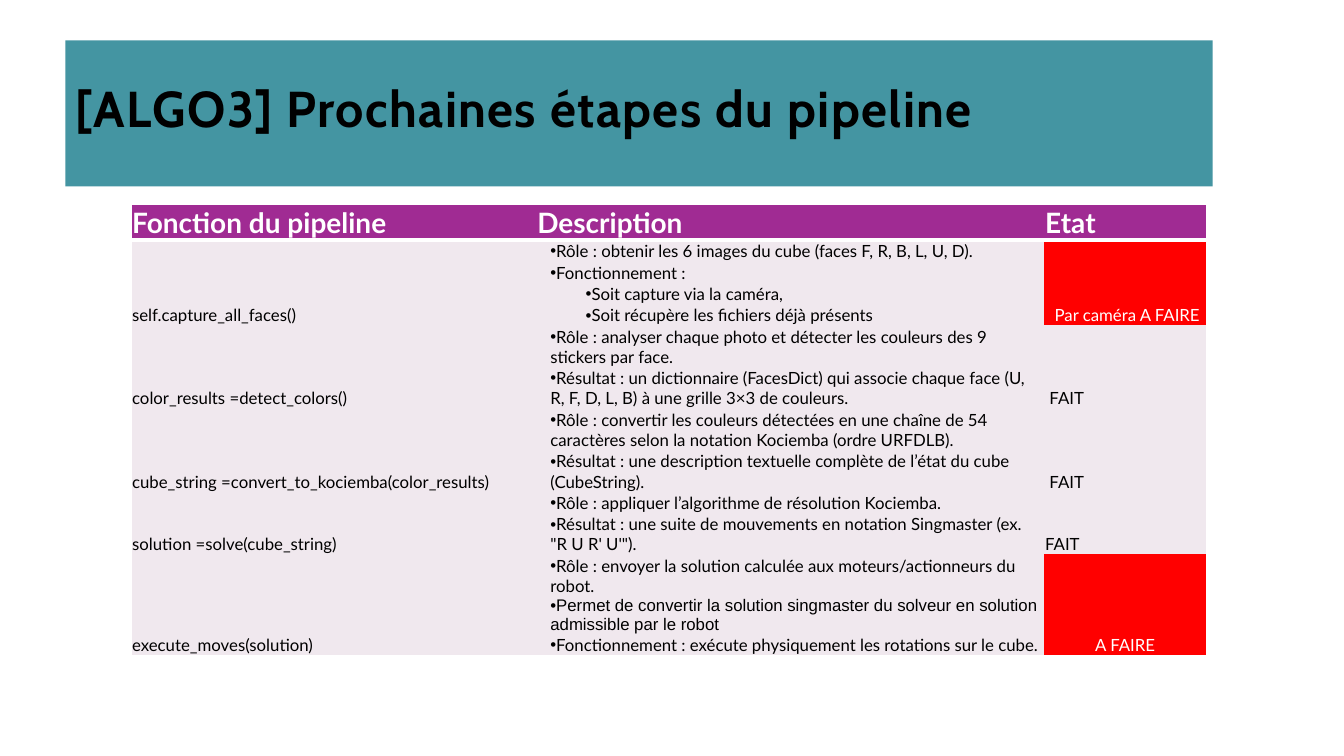
"""Build the slide on the next steps of the cube-solving pipeline."""
import dataclasses

import lxml.etree
import pptx
import pptx.dml.color
import pptx.enum.shapes
import pptx.enum.text
import pptx.oxml.ns
import pptx.util

Cm = pptx.util.Cm
ALIGN = pptx.enum.text.PP_ALIGN
ANCHOR = pptx.enum.text.MSO_ANCHOR

HEADINGS = ["Fonction du pipeline", "Description", "Etat"]
COLUMN_WIDTHS = [10.21, 12.8, 4.09]


@dataclasses.dataclass(frozen=True)
class Theme:
    """Colours, fonts and type sizes of the slide."""
    banner: str = "4495A2"
    header: str = "A02B93"
    body: str = "F0E8EE"
    alert: str = "FF0000"
    dark: str = "000000"
    light: str = "FFFFFF"
    title_font: str = "Cabin"
    table_font: str = "Lato"
    plain_font: str = "Arial"
    title_size: int = 36
    header_size: int = 20
    body_size: int = 12


@dataclasses.dataclass
class Detail:
    """One description row: its paragraphs, line count, indent and fonts."""
    texts: list
    lines: int = 1
    inset: float = 0.36
    fonts: tuple = (Theme.table_font,)


@dataclasses.dataclass
class Step:
    """One pipeline function with its state and description rows."""
    function: str
    state: str
    details: list
    to_do: bool = False


STEPS = [
    Step("self.capture_all_faces()", " Par caméra A FAIRE", [
        Detail(["Rôle : obtenir les 6 images du cube (faces F, R, B, L, U, D)."]),
        Detail(["Fonctionnement :"]),
        Detail(["Soit capture via la caméra,"], inset=1.25),
        Detail(["Soit récupère les fichiers déjà présents"], inset=1.25),
    ], to_do=True),
    Step("color_results =detect_colors()", " FAIT", [
        Detail(["Rôle : analyser chaque photo et détecter les couleurs des 9 "
                "stickers par face."], lines=2),
        Detail(["Résultat : un dictionnaire (FacesDict) qui associe chaque face "
                "(U, R, F, D, L, B) à une grille 3×3 de couleurs."], lines=2),
    ]),
    Step("cube_string =convert_to_kociemba(color_results)", " FAIT", [
        Detail(["Rôle : convertir les couleurs détectées en une chaîne de 54 "
                "caractères selon la notation Kociemba (ordre URFDLB)."], lines=2),
        Detail(["Résultat : une description textuelle complète de l’état du cube "
                "(CubeString)."], lines=2),
    ]),
    Step("solution =solve(cube_string)", "FAIT ", [
        Detail(["Rôle : appliquer l’algorithme de résolution Kociemba."]),
        Detail(["Résultat : une suite de mouvements en notation Singmaster "
                "(ex. \"R U R' U'\")."], lines=2),
    ]),
    Step("execute_moves(solution)", "A FAIRE", [
        Detail(["Rôle : envoyer la solution calculée aux moteurs/actionneurs du robot.",
                "Permet de convertir la solution singmaster du solveur en solution "
                "admissible par le robot"],
               lines=4, fonts=(Theme.table_font, Theme.plain_font)),
        Detail(["Fonctionnement : exécute physiquement les rotations sur le cube."]),
    ], to_do=True),
]


def rgb(code):
    """Return the colour for a hexadecimal code."""
    return pptx.dml.color.RGBColor.from_string(code)


def add_xml(parent, tag, **attributes):
    """Append a DrawingML child and return it."""
    return lxml.etree.SubElement(parent, pptx.oxml.ns.qn(tag), attributes)


def write_text(para, text, font, size, color, bold=False, align=ALIGN.LEFT,
               spacing=None, bullet=False):
    """Write one formatted span into a paragraph."""
    para.alignment = align
    span = para.add_run()
    span.text = text
    span.font.name = font
    span.font.size = pptx.util.Pt(size)
    span.font.bold = bold
    span.font.color.rgb = rgb(color)
    if spacing:
        span.font._element.set("spc", str(spacing * 100))
    if bullet:
        properties = para._p.get_or_add_pPr()
        properties.set("marL", "0")
        properties.set("indent", "0")
        add_xml(add_xml(properties, "a:buClr"), "a:srgbClr", val=color)
        add_xml(properties, "a:buFont", typeface=Theme.plain_font)
        add_xml(properties, "a:buChar", char="•")


class SlideBuilder:
    """Draw styled elements on the current page."""

    def __init__(self, page, theme):
        """Keep the page and its theme."""
        self.page = page
        self.theme = theme

    def title(self, text, left, top, width, height):
        """Add the coloured title banner."""
        box = self.page.shapes.add_shape(
            pptx.enum.shapes.MSO_SHAPE.RECTANGLE,
            Cm(left), Cm(top), Cm(width), Cm(height))
        box.shadow.inherit = False
        box.fill.solid()
        box.fill.fore_color.rgb = rgb(self.theme.banner)
        box.line.fill.background()
        box.text_frame.word_wrap = True
        box.text_frame.vertical_anchor = ANCHOR.MIDDLE
        para = box.text_frame.paragraphs[0]
        para.line_spacing = 0.8
        write_text(para, text, self.theme.title_font, self.theme.title_size,
                   self.theme.dark, bold=True, spacing=1)

    def cell(self, cell, fill, borders, inset=0.03, anchor=ANCHOR.BOTTOM):
        """Set the fill, margins and white borders of a table cell."""
        cell.margin_left = Cm(inset)
        cell.margin_right = cell.margin_top = Cm(0.03)
        cell.margin_bottom = 0
        cell.vertical_anchor = anchor
        properties = cell._tc.get_or_add_tcPr()
        for side in "LRTB":
            width = borders.get(side, 0)
            line = add_xml(properties, f"a:ln{side}", w=str(pptx.util.Pt(width)))
            if width:
                add_xml(add_xml(line, "a:solidFill"), "a:srgbClr", val=self.theme.light)
            else:
                add_xml(line, "a:noFill")
        cell.fill.solid()
        cell.fill.fore_color.rgb = rgb(fill)

    def table(self, headings, steps, widths, left, top, header_height, line_height):
        """Add the table of pipeline steps with merged function and state cells."""
        theme = self.theme
        records = [(step, detail) for step in steps for detail in step.details]
        heights = [header_height] + [line_height * detail.lines for _, detail in records]
        table = self.page.shapes.add_table(
            len(heights), len(widths), Cm(left), Cm(top),
            Cm(sum(widths)), Cm(sum(heights))).table
        for column, width in zip(table.columns, widths):
            column.width = Cm(width)
        for row, height in zip(table.rows, heights):
            row.height = Cm(height)

        last_row, last_column = len(heights) - 1, len(widths) - 1
        for row in range(len(heights)):
            step, detail = records[row - 1] if row else (None, None)
            for column in range(len(widths)):
                borders = {"L": int(column == 0), "R": int(column == last_column),
                           "T": {0: 1, 1: 3}.get(row, 0),
                           "B": {0: 3, last_row: 1}.get(row, 0)}
                cell = table.cell(row, column)
                if row == 0:
                    self.cell(cell, theme.header, borders)
                    write_text(cell.text_frame.paragraphs[0], headings[column],
                               theme.table_font, theme.header_size, theme.light, bold=True)
                elif column == 1:
                    self.cell(cell, theme.body, borders, detail.inset, ANCHOR.MIDDLE)
                    for index, (text, font) in enumerate(zip(detail.texts, detail.fonts)):
                        frame = cell.text_frame
                        para = frame.add_paragraph() if index else frame.paragraphs[0]
                        write_text(para, text, font, theme.body_size, theme.dark, bullet=True)
                else:
                    alert = step.to_do and column == last_column
                    self.cell(cell, theme.alert if alert else theme.body, borders)

        row = 1
        for step in steps:
            end = row + len(step.details) - 1
            for column, text in ((0, step.function), (last_column, step.state)):
                alert = step.to_do and column == last_column
                cell = table.cell(row, column)
                cell.merge(table.cell(end, column))
                write_text(cell.text_frame.paragraphs[0], text, theme.table_font,
                           theme.body_size, theme.light if alert else theme.dark,
                           align=ALIGN.CENTER if alert else ALIGN.LEFT)
            row = end + 1


def main():
    """Create the deck and save it."""
    deck = pptx.Presentation()
    deck.slide_width, deck.slide_height = Cm(33.87), Cm(19.05)
    builder = SlideBuilder(deck.slides.add_slide(deck.slide_layouts[6]), Theme())
    builder.title("[ALGO3] Prochaines étapes du pipeline", 1.65, 1.02, 28.91, 3.68)
    builder.table(HEADINGS, STEPS, COLUMN_WIDTHS, left=3.3, top=5.16,
                  header_height=0.85, line_height=0.5)
    deck.save("out.pptx")


if __name__ == "__main__":
    main()
